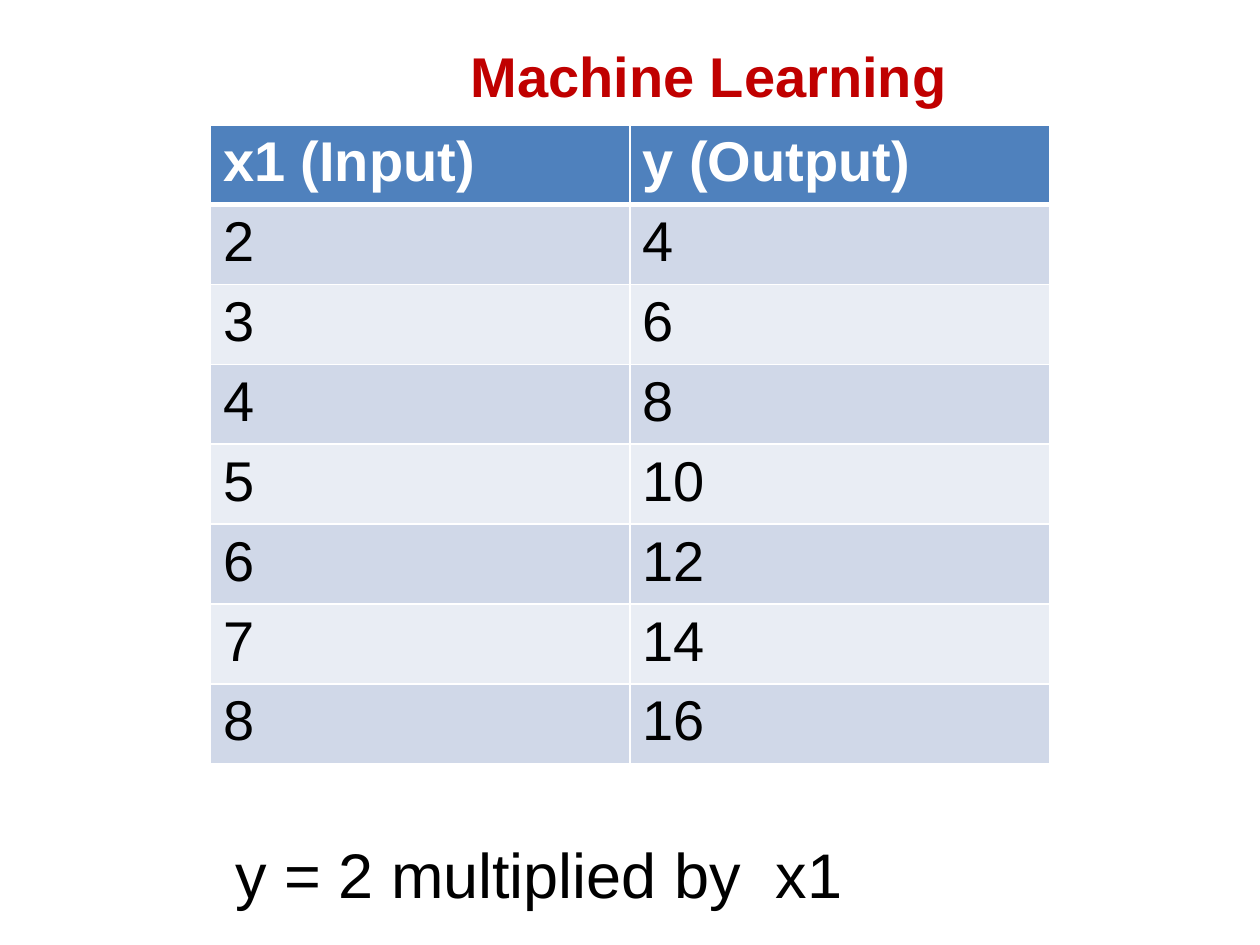
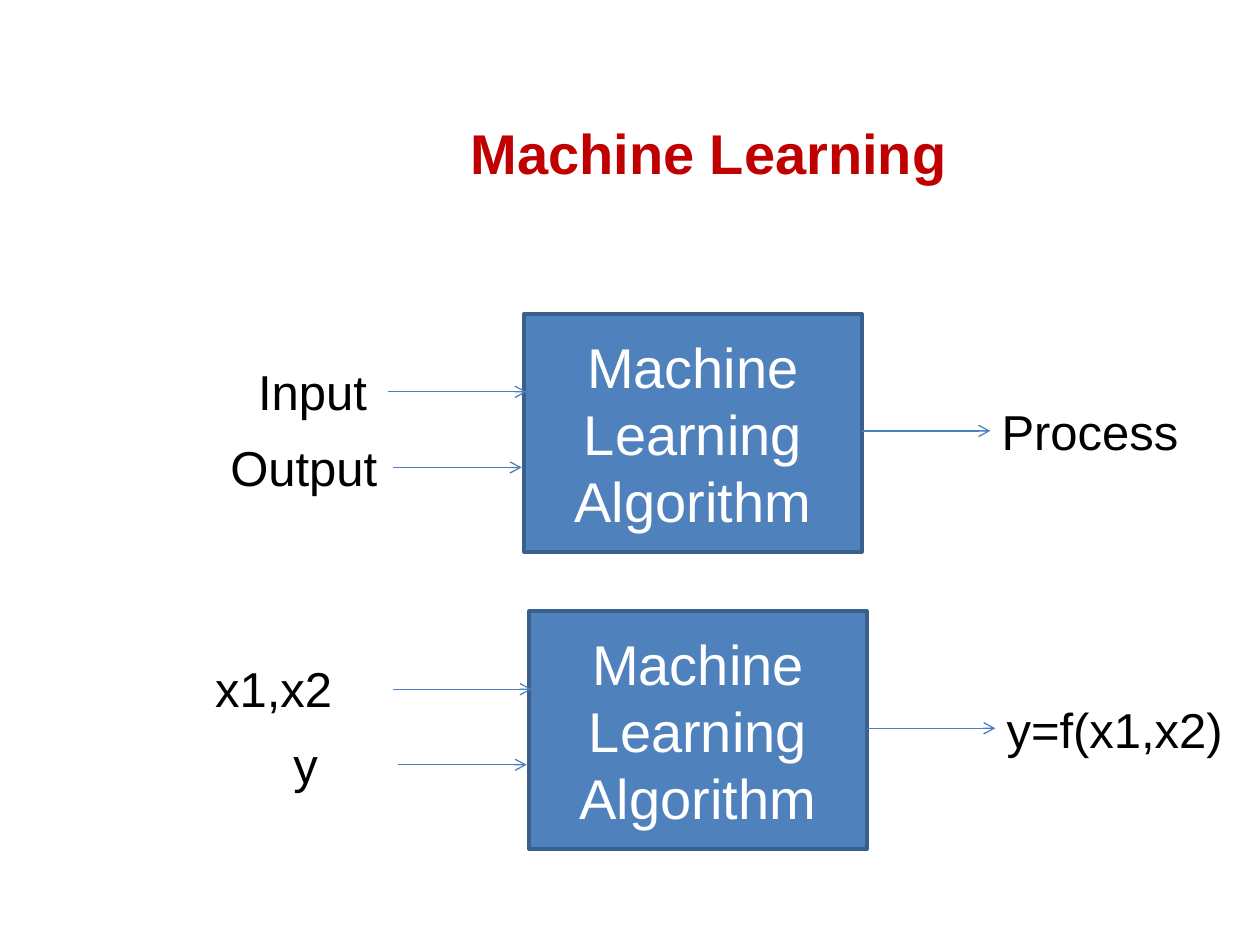
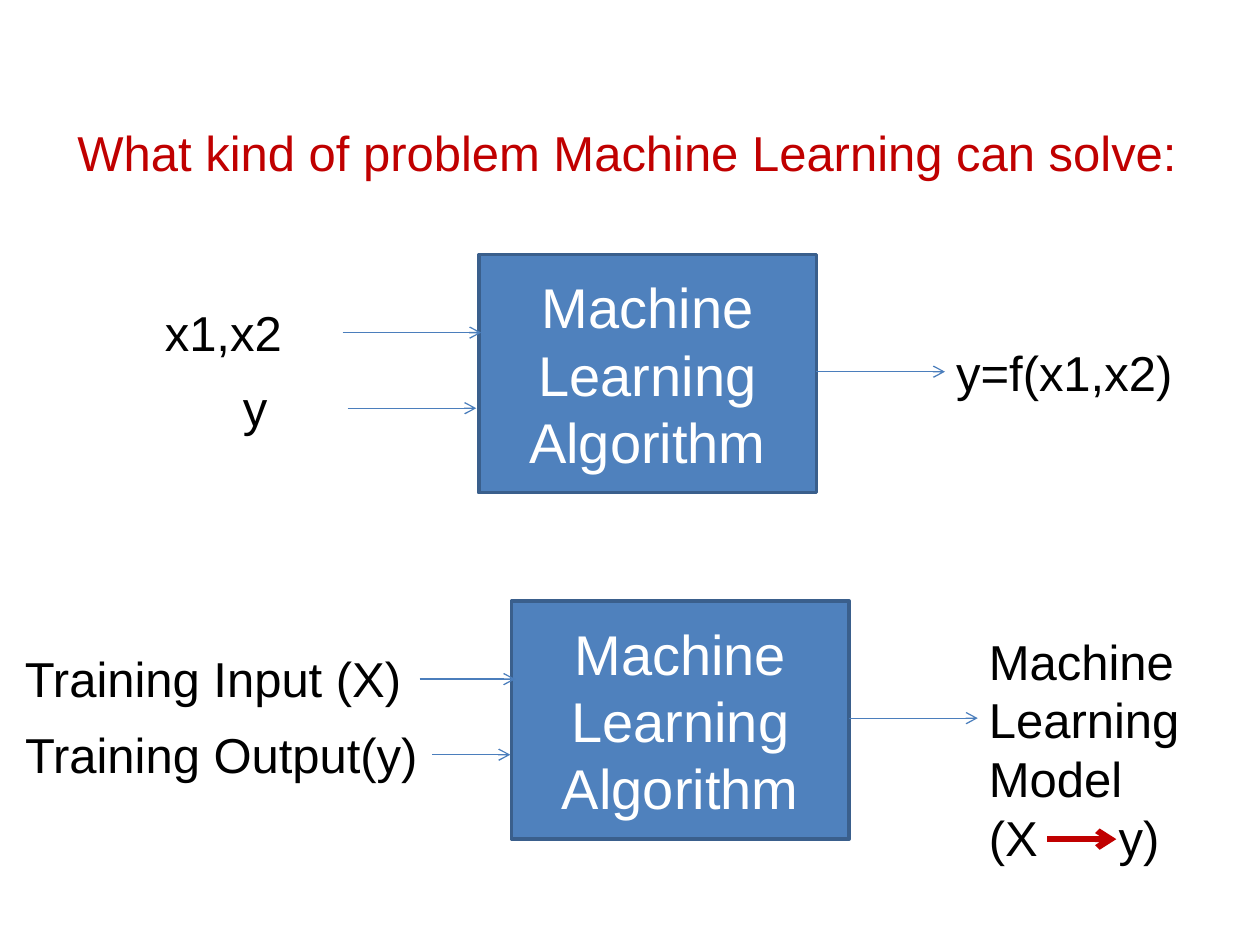
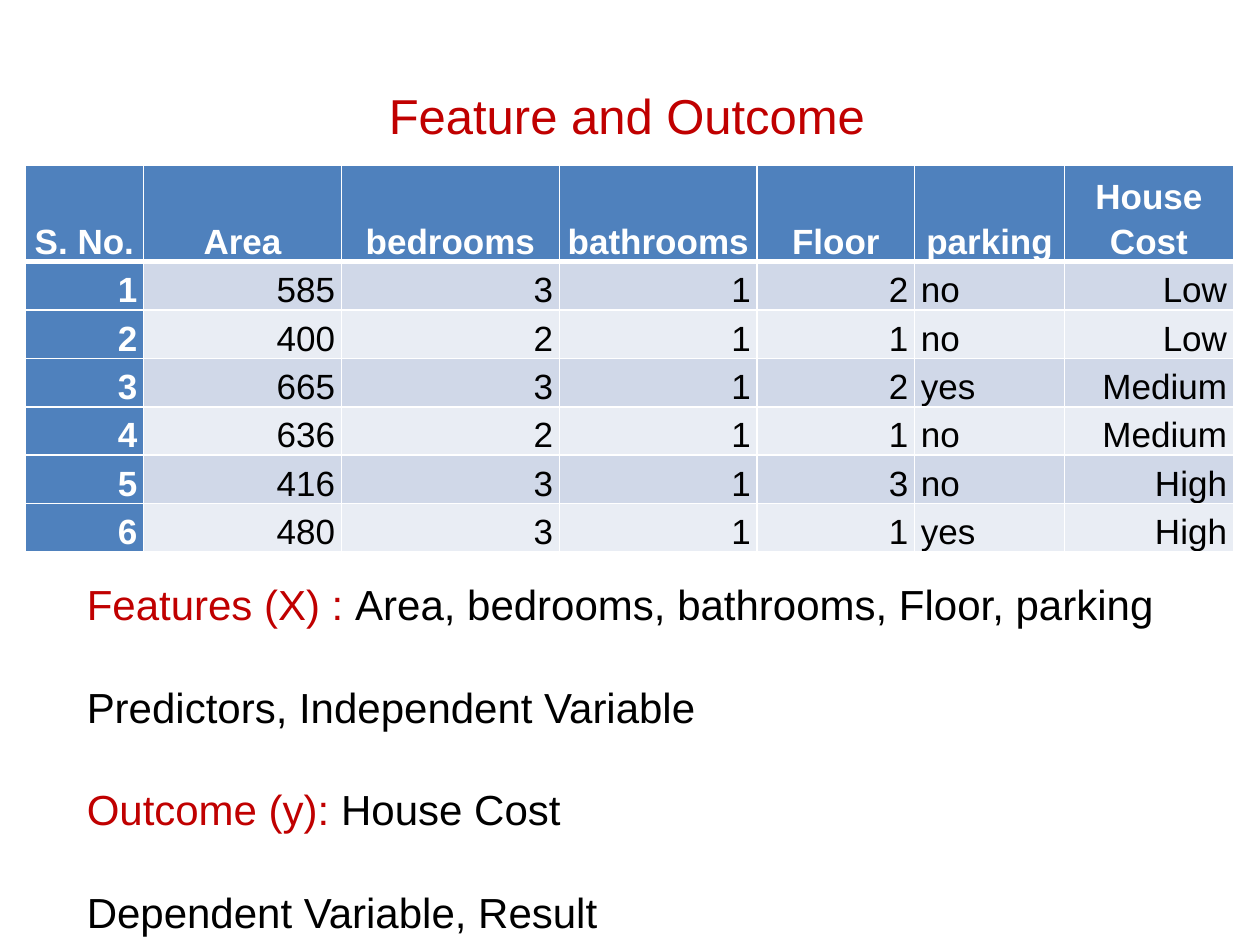
from dataclasses import dataclass

from lxml.etree import SubElement
from pptx import Presentation
from pptx.dml.color import RGBColor
from pptx.enum.shapes import MSO_CONNECTOR, MSO_SHAPE
from pptx.enum.text import MSO_ANCHOR, PP_ALIGN
from pptx.oxml.ns import qn
from pptx.util import Inches, Pt


@dataclass(frozen=True)
class Theme:
    """Colours, font and type sizes shared by all slides."""
    font: str = "Arial"
    accent: str = "C00000"
    blue: str = "4F81BD"
    edge: str = "3A5F8C"
    arrow: str = "4B7EBC"
    band_dark: str = "D0D8E8"
    band_light: str = "E9EDF4"
    white: str = "FFFFFF"
    black: str = "000000"
    formula: int = 36
    heading: int = 32
    label: int = 28
    body: int = 24
    cell: int = 20


T = Theme()


def rgb(code):
    """Turn a hex code into a colour."""
    return RGBColor.from_string(code)


def style(p, size, color, bold=False, align=None):
    """Format every run of a paragraph."""
    p.alignment = align
    for r in p.runs:
        r.font.name, r.font.size, r.font.bold = T.font, Pt(size), bold
        r.font.color.rgb = rgb(color)


def add_text(shapes, box, text, size, color=T.black, bold=False, align=None,
             anchor=MSO_ANCHOR.TOP):
    """Place wrapped text in a box (left, top, width, height in inches)."""
    sp = shapes.add_textbox(*map(Inches, box))
    tf = sp.text_frame
    tf.word_wrap = True
    tf.vertical_anchor = anchor
    tf.text = text
    for p in tf.paragraphs:
        style(p, size, color, bold, align)
    return sp


def add_title(s, text, left, top, width, size=T.label, bold=False):
    """Place a centred red slide title."""
    add_text(s.shapes, (left, top, width, 1.25), text, size, T.accent, bold,
             PP_ALIGN.CENTER, MSO_ANCHOR.MIDDLE)


def add_arrow(shapes, x1, x2, y, color=T.arrow, width=0.75):
    """Draw a horizontal arrow from x1 to x2."""
    sp = shapes.add_connector(MSO_CONNECTOR.STRAIGHT, Inches(x1), Inches(y),
                              Inches(x2), Inches(y))
    sp.line.color.rgb = rgb(color)
    sp.line.width = Pt(width)
    SubElement(sp.line._get_or_add_ln(), qn("a:tailEnd"), type="arrow")
    SubElement(sp._element.spPr, qn("a:effectLst"))


def add_diagram(s, left, top, inputs, result, result_top=0.65, result_size=(1.99, 0.57)):
    """Draw an algorithm block at left, top with two inputs and a result.

    Each input is (label, label offset, label width, arrow start, arrow end),
    with offsets measured from the left edge of the block.
    """
    shapes = s.shapes.add_group_shape().shapes
    width, height = 2.68, 1.89
    sp = shapes.add_shape(MSO_SHAPE.RECTANGLE, *map(Inches, (left, top, width, height)))
    sp.shadow.inherit = False
    sp.fill.solid()
    sp.fill.fore_color.rgb = rgb(T.blue)
    sp.line.color.rgb = rgb(T.edge)
    sp.line.width = Pt(2)
    tf = sp.text_frame
    tf.word_wrap = True
    tf.vertical_anchor = MSO_ANCHOR.MIDDLE
    tf.text = "Machine Learning Algorithm"
    style(tf.paragraphs[0], T.heading, T.white, align=PP_ALIGN.CENTER)

    for i, (label, offset, label_width, start, end) in enumerate(inputs):
        y = top + 0.62 + 0.6 * i
        add_arrow(shapes, left + start, left + end, y)
        add_text(shapes, (left + offset, y - 0.29, label_width, 0.57), label, T.label)
    add_arrow(shapes, left + width, left + 3.7, top + 0.93)
    return add_text(shapes, (left + 3.69, top + result_top, *result_size), result, T.label)


def set_borders(cell, row):
    """Give a cell white borders, thick below the header row."""
    tcPr = cell._tc.get_or_add_tcPr()
    widths = {"L": 1, "R": 1, "T": 3 if row == 1 else 1, "B": 3 if row == 0 else 1}
    for side, width in widths.items():
        ln = SubElement(tcPr, qn(f"a:ln{side}"), w=str(Pt(width)))
        fill = SubElement(ln, qn("a:solidFill"))
        SubElement(fill, qn("a:srgbClr"), val=T.white)


def add_grid(s, left, top, widths, heights, rows, size, aligns=None, compact=False):
    """Place a banded table; a compact one has a header column and tight cells."""
    frame = s.shapes.add_table(len(rows), len(widths), *map(
        Inches, (left, top, sum(widths), sum(heights))))
    table = frame.table
    table.first_col = compact
    for column, width in zip(table.columns, widths):
        column.width = Inches(width)
    for i, (row, height) in enumerate(zip(rows, heights)):
        table.rows[i].height = Inches(height)
        for j, value in enumerate(row):
            cell = table.cell(i, j)
            set_borders(cell, i)
            head = i == 0 or (compact and j == 0)
            cell.fill.solid()
            cell.fill.fore_color.rgb = rgb(
                T.blue if head else T.band_dark if i % 2 else T.band_light)
            cell.text_frame.text = str(value)
            align = aligns[j] if aligns else None
            if compact:
                cell.vertical_anchor = MSO_ANCHOR.BOTTOM
                cell.margin_left = cell.margin_right = Inches(0.05)
                cell.margin_top = cell.margin_bottom = 0
                align = PP_ALIGN.CENTER if i == 0 else align
            for p in cell.text_frame.paragraphs:
                style(p, size, T.white if head else T.black, head, align)
                if compact:
                    p.line_spacing = 1.15


def add_definitions(s, box, lines):
    """List (red term, black text) pairs, one spaced paragraph each."""
    tf = add_text(s.shapes, box, "", T.body).text_frame
    for i, (term, text) in enumerate(lines):
        p = tf.add_paragraph() if i else tf.paragraphs[0]
        p.space_before = Pt(30 if i else 0)
        for part in filter(None, (term, text)):
            p.add_run().text = part
        style(p, T.body, T.black)
        if term:
            p.runs[0].font.color.rgb = rgb(T.accent)


def build_doubling(s):
    """Slide with a table of inputs and doubled outputs."""
    add_title(s, "Machine Learning", 1.5, -0.03, 8.25, T.heading, True)
    rows = [("x1 (Input)", "y (Output)")] + [(x, 2 * x) for x in range(2, 9)]
    add_grid(s, 1.67, 0.99, [3.33] * 2, [0.6] * 8, rows, T.heading)
    add_text(s.shapes, (1.77, 6.58, 7.09, 0.71), "y = 2 multiplied by  x1", T.formula)


FUNCTION_INPUTS = [("x1,x2", -2.59, 1.48, -1.08, 0.02),
                   ("y", -1.97, 0.73, -1.04, -0.02)]


def build_process(s):
    """Slide that shows learning in words and in symbols."""
    add_title(s, "Machine Learning", 1.5, 0.58, 8.25, T.heading, True)
    add_diagram(s, 4.16, 2.49, [("Input", -2.21, 1.1, -1.08, 0.02),
                                ("Output", -2.43, 1.81, -1.04, -0.02)],
                "Process", result_size=(1.81, 0.57))
    add_diagram(s, 4.2, 4.85, FUNCTION_INPUTS, "y=f(x1,x2)")


def build_problem(s):
    """Slide that leads from a function to a trained model."""
    add_title(s, "What kind of problem Machine Learning can solve:", 0.2, 0.58, 9.55)
    sp = add_diagram(s, 4.06, 4.77, [("Training Input (X)", -3.96, 3.23, -0.73, 0.03),
                                     ("Training Output(y)", -3.96, 3.61, -0.63, -0.01)],
                     "Machine Learning Model\n(X\ty)", 0.19, (1.81, 1.99))
    pPr = sp.text_frame.paragraphs[1]._p.get_or_add_pPr()
    tabs = SubElement(pPr, qn("a:tabLst"))
    SubElement(tabs, qn("a:tab"), pos=str(Inches(1.03)), algn="l")
    add_diagram(s, 3.8, 2.02, FUNCTION_INPUTS, "y=f(x1,x2)")
    add_arrow(s.shapes, 8.31, 8.86, 6.66, T.accent, 3.5)


def build_features(s):
    """Slide with house data and the names of its columns' roles."""
    add_title(s, "Feature and Outcome", 0.2, 0.29, 9.55)
    rows = [("S. No.", "Area", "bedrooms", "bathrooms", "Floor", "parking", "House\nCost"),
            (1, 585, 3, 1, 2, "no", "Low"),
            (2, 400, 2, 1, 1, "no", "Low"),
            (3, 665, 3, 1, 2, "yes", "Medium"),
            (4, 636, 2, 1, 1, "no", "Medium"),
            (5, 416, 3, 1, 3, "no", "High"),
            (6, 480, 3, 1, 1, "yes", "High")]
    aligns = [PP_ALIGN.RIGHT] * 5 + [PP_ALIGN.LEFT, PP_ALIGN.RIGHT]
    add_grid(s, 0.2, 1.31, [0.94, 1.57, 1.73, 1.57, 1.25, 1.19, 1.34],
             [0.7] + [0.38] * 6, rows, T.cell, aligns, compact=True)
    add_definitions(s, (0.59, 4.54, 9.21, 2.93), [
        ("Features (X) : ", "Area, bedrooms, bathrooms, Floor, parking"),
        ("", "Predictors, Independent Variable"),
        ("Outcome (y): ", "House Cost"),
        ("", "Dependent Variable, Result")])


prs = Presentation()
prs.slide_width, prs.slide_height = Inches(10), Inches(7.5)
for build in (build_doubling, build_process, build_problem, build_features):
    build(prs.slides.add_slide(prs.slide_layouts[6]))
prs.save("out.pptx")
